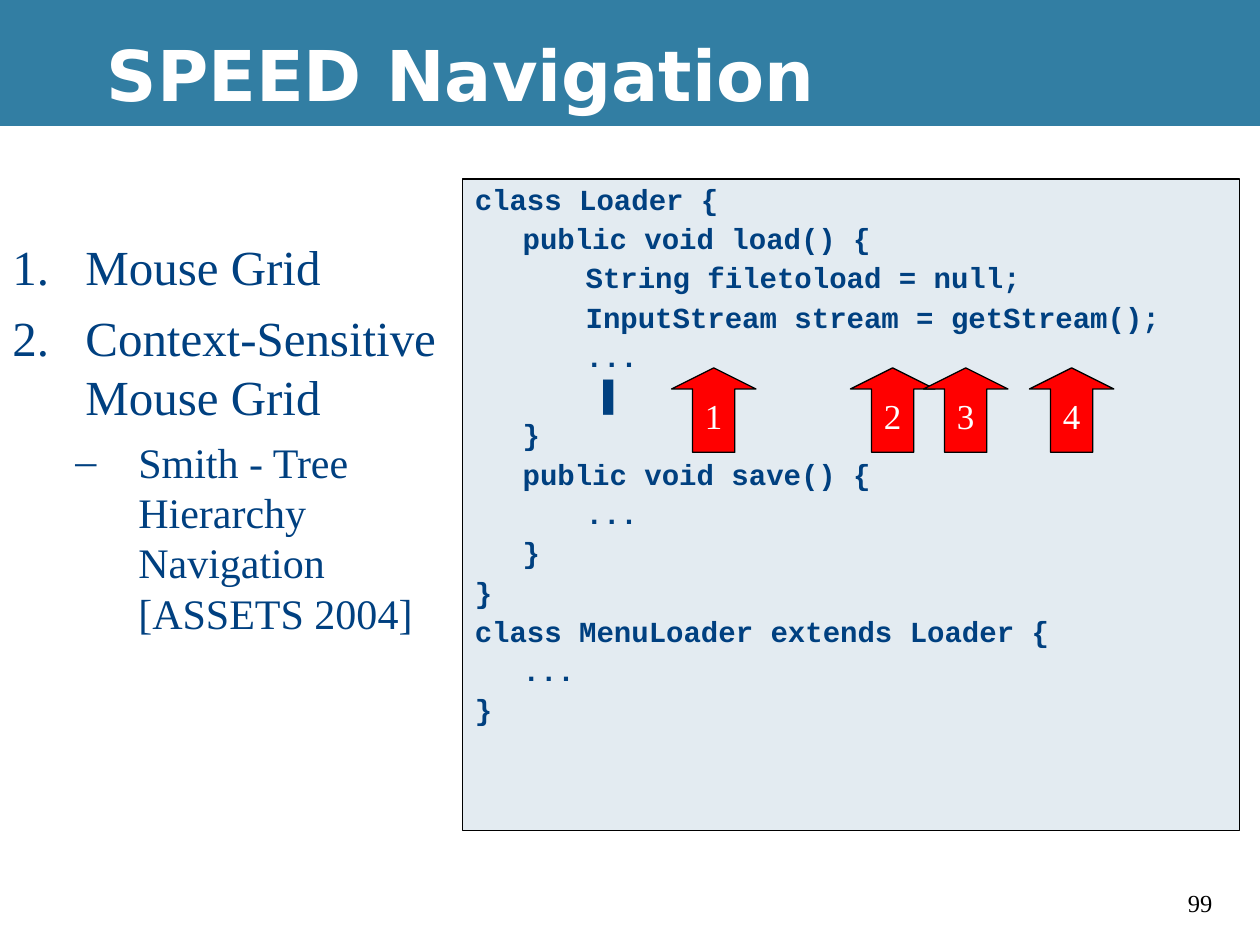
from dataclasses import dataclass

from lxml import etree
from pptx import Presentation
from pptx.dml.color import RGBColor
from pptx.enum.shapes import MSO_SHAPE
from pptx.enum.text import MSO_ANCHOR, PP_ALIGN
from pptx.oxml.ns import qn
from pptx.util import Inches, Pt

RECTANGLE = MSO_SHAPE.RECTANGLE
UP_ARROW = MSO_SHAPE.UP_ARROW
MIDDLE = MSO_ANCHOR.MIDDLE
CENTER = PP_ALIGN.CENTER


@dataclass(frozen=True)
class Theme:
    black: str = "000000"
    white: str = "FFFFFF"
    banner: str = "327EA3"
    navy: str = "004080"
    code_fill: str = "E3EBF1"
    arrow_fill: str = "FF0000"
    title_font: str = "DejaVu Sans"
    body_font: str = "Times New Roman"
    code_font: str = "Courier New"
    cursor_font: str = "Arial"
    title_size: float = 40
    body_size: float = 28
    detail_size: float = 24
    arrow_size: float = 20
    code_size: float = 16.6
    number_size: float = 14


THEME = Theme()

# text, left margin, hanging indent, size, space before, bullet tag, bullet attributes
NUMBERED = ("a:buAutoNum", {"type": "arabicPeriod"})
DASH = ("a:buChar", {"char": "–"})
OUTLINE = [
    ("Mouse Grid", 0.58, 0.58, THEME.body_size, 0, NUMBERED),
    ("Context-Sensitive Mouse Grid", 0.58, 0.58, THEME.body_size, 7, NUMBERED),
    ("Smith - Tree Hierarchy Navigation [ASSETS 2004]", 1, 0.5, THEME.detail_size, 6, DASH),
]

CURSOR = "▌"
CODE = [
    "class Loader {",
    "\tpublic void load() {",
    "\t\tString filetoload = null;",
    "\t\tInputStream stream = getStream();",
    "\t\t...",
    "\t\t " + CURSOR,
    "\t}",
    "\tpublic void save() {",
    "\t\t...",
    "\t}",
    "}",
    "class MenuLoader extends Loader {",
    "\t...",
    "}",
]

ARROW_LEFTS = [5.33, 6.75, 7.33, 8.17]


def color(value):
    return RGBColor.from_string(value)


def format_run(run, font, size, value, bold=False):
    run.font.name = font
    run.font.size = Pt(size)
    run.font.color.rgb = color(value)
    run.font.bold = bold


def set_hanging_indent(paragraph, margin, hanging):
    properties = paragraph._p.get_or_add_pPr()
    properties.set("marL", str(Inches(margin)))
    properties.set("indent", str(-Inches(hanging)))
    return properties


def add_box(slide, shape_type, left, top, width, height, fill, line=None):
    shape = slide.shapes.add_shape(
        shape_type, Inches(left), Inches(top), Inches(width), Inches(height))
    shape.shadow.inherit = False
    shape.fill.solid()
    shape.fill.fore_color.rgb = color(fill)
    if line:
        shape.line.color.rgb = color(line)
        shape.line.width = Pt(0.75)
    else:
        shape.line.fill.background()
    return shape


def add_text_box(slide, left, top, width, height):
    text_box = slide.shapes.add_textbox(
        Inches(left), Inches(top), Inches(width), Inches(height))
    text_box.text_frame.word_wrap = True
    return text_box.text_frame


def add_label(slide, text, place, font, size, value, bold=False, anchor=None):
    text_frame = add_text_box(slide, *place)
    text_frame.vertical_anchor = anchor
    text_frame.text = text
    format_run(text_frame.paragraphs[0].runs[0], font, size, value, bold)


def add_outline(slide):
    text_frame = add_text_box(slide, 0, 1.83, 3.83, 4.83)
    text_frame.text = "\n".join(item[0] for item in OUTLINE)
    for paragraph, item in zip(text_frame.paragraphs, OUTLINE):
        _, margin, hanging, size, space_before, (bullet_tag, attributes) = item
        properties = set_hanging_indent(paragraph, margin, hanging)
        bullet_color = etree.SubElement(properties, qn("a:buClr"))
        etree.SubElement(bullet_color, qn("a:srgbClr"), val=THEME.navy)
        etree.SubElement(properties, qn("a:buFont"), typeface=THEME.body_font)
        etree.SubElement(properties, qn(bullet_tag), attributes)
        paragraph.level = 1 if bullet_tag == "a:buChar" else 0
        paragraph.space_before = Pt(space_before)
        format_run(paragraph.runs[0], THEME.body_font, size, THEME.navy)


def add_code_panel(slide):
    panel = add_box(slide, RECTANGLE, 3.67, 1.42, 6.17, 5.17, THEME.code_fill, THEME.black)
    text_frame = panel.text_frame
    text_frame.word_wrap = True
    text_frame.vertical_anchor = MSO_ANCHOR.TOP
    text_frame.text = "\n".join(line.removesuffix(CURSOR) for line in CODE)
    for index, (paragraph, line) in enumerate(zip(text_frame.paragraphs, CODE)):
        properties = set_hanging_indent(paragraph, 0.38, 0.38)
        tab_list = etree.SubElement(properties, qn("a:tabLst"))
        for inch in range(8):
            etree.SubElement(tab_list, qn("a:tab"), pos=str(Inches(inch)), algn="l")
        paragraph.alignment = PP_ALIGN.LEFT
        paragraph.line_spacing = 0.9
        paragraph.space_before = Pt(4.5 if index else 0)
        format_run(paragraph.runs[0], THEME.code_font, THEME.code_size, THEME.navy, True)
        if line.endswith(CURSOR):
            cursor = paragraph.add_run()
            cursor.text = CURSOR
            format_run(cursor, THEME.cursor_font, THEME.code_size, THEME.navy, True)


def add_numbered_arrow(slide, number, left):
    arrow = add_box(slide, UP_ARROW, left, 2.92, 0.67, 0.67, THEME.arrow_fill, THEME.black)
    arrow.adjustments[0] = 0.5
    arrow.adjustments[1] = 0.25
    text_frame = arrow.text_frame
    text_frame.word_wrap = False
    text_frame.vertical_anchor = MIDDLE
    text_frame.text = str(number)
    paragraph = text_frame.paragraphs[0]
    paragraph.alignment = CENTER
    format_run(paragraph.runs[0], THEME.body_font, THEME.arrow_size, THEME.white)


def main():
    presentation = Presentation()
    presentation.slide_width = Inches(10)
    presentation.slide_height = Inches(7.5)
    slide = presentation.slides.add_slide(presentation.slide_layouts[6])

    add_box(slide, RECTANGLE, 0, 1, 10, 6.5, THEME.white)
    add_box(slide, RECTANGLE, 0, 0, 10, 1, THEME.banner)
    add_label(slide, "99", (9.33, 7, 0.5, 0.34),
              THEME.body_font, THEME.number_size, THEME.black)
    add_label(slide, "SPEED Navigation", (0.75, 0.08, 9.25, 1),
              THEME.title_font, THEME.title_size, THEME.white, True, MIDDLE)
    add_outline(slide)
    add_code_panel(slide)
    for number, left in enumerate(ARROW_LEFTS, start=1):
        add_numbered_arrow(slide, number, left)

    presentation.save("out.pptx")


if __name__ == "__main__":
    main()
